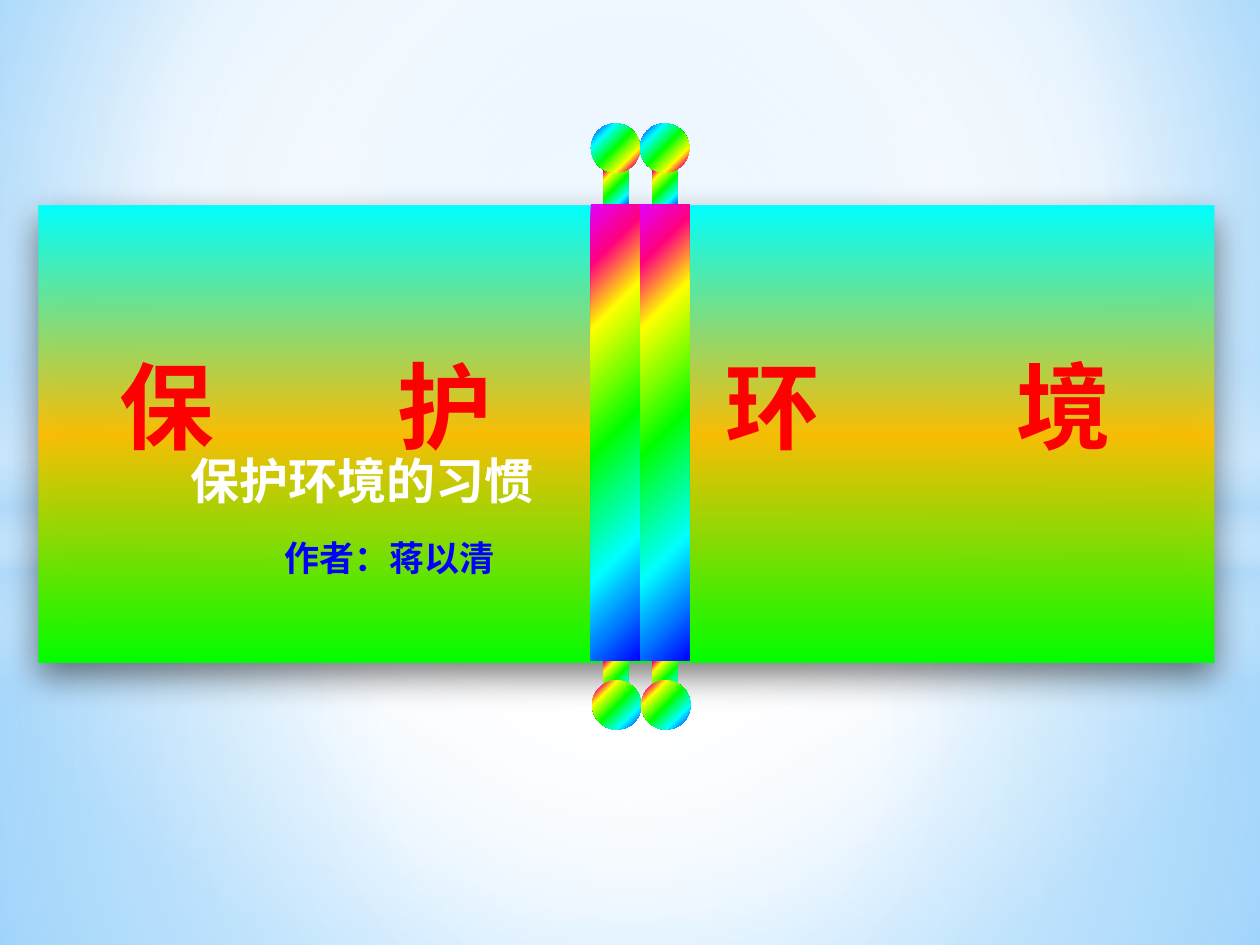
"""Build a title slide: a rainbow scroll opening over a soft blue sky."""
from lxml import etree
from pptx import Presentation
from pptx import util as u
from pptx.dml.color import RGBColor
from pptx.enum import shapes, text
from pptx.oxml import ns

THEME = {
    "title": {"size": 54, "font": "Noto Sans CJK JP", "color": "FF0000"},
    "subtitle": {"size": 28, "font": "Lato", "color": "FFFFFF"},
    "author": {"size": 20, "font": "Lato", "color": "0000FF"},
    "east_asian": "Noto Sans CJK JP",
    "rainbow": [(0, "0000FF"), (12, "0080FF"), (25, "00FFFF"), (38, "00FF80"), (50, "00FF00"),
                (62, "80FF00"), (75, "FFFF00"), (88, "FF0080"), (100, "E100FF")],
    "sky": [(0, "9ED5FF"), (60, "FFFFFF"), (100, "5BB9FF")],
    "paper": [(0, "00FFFF"), (50, "FFC000", 95), (100, "00FF00")],
}
WIDTH, HEIGHT = 10, 7.5
CENTER, CORNER = (50, 50, 50, 50), (100, 100, 0, 0)
RECT, OVAL, ROUND = (shapes.MSO_SHAPE.RECTANGLE, shapes.MSO_SHAPE.OVAL,
                     shapes.MSO_SHAPE.ROUNDED_RECTANGLE)
HORIZON = 4.23
GLOWS = [
    (RECT, (0, HORIZON, WIDTH, HEIGHT - HORIZON),
     [(0, "FFFFFF", 91), (37, "FFFFFF", 76), (100, "B4DCFA", 79)], {"focus": CENTER}),
    (RECT, (0, 0, WIDTH, HORIZON),
     [(0, "FFFFFF", 89), (48, "FFFFFF", 62), (100, "B4DCFA", 79)], {"focus": CENTER}),
    (RECT, (0, 2.9, WIDTH, 2.5),
     [(0, "FFFFFF", 0), (29, "FFFFFF", 30), (45, "B4DCFA", 40), (55, "FFFFFF", 26),
      (65, "B4DCFA", 60), (100, "FFFFFF", 0)], {"angle": 90}),
    (OVAL, (0, 1.75, WIDTH, 5.58), [(0, "FFFFFF"), (54, "FFFFFF", 0)], {"focus": CENTER}),
]
PAPER = (0.31, 1.63, 9.33, 3.63)
TITLE = [("保", 0.41, 1.83), ("护", 2.66, 1.74), ("环", 5.26, 1.75), ("境", 7.57, 1.75)]
TITLE_TOP, TITLE_HEIGHT = 2.89, 0.65
LINES = [
    ("保护环境的习惯", "subtitle", (0.76, 3.64, 4.23, 0.34), 0.465),
    ("作者：蒋以清", "author", (2.06, 4.22, 2.07, 0.41), 0.167),
]
ROLLER = 0.39
ROLLER_LEFTS = [4.69, 4.69 + ROLLER]
ROLLER_PARTS = [
    (RECT, 0.1, 1.29, ROLLER / 2, ROLLER, 180, {"focus": CORNER}),
    (RECT, 0.1, 5.19, ROLLER / 2, ROLLER, 180, {"focus": CORNER}),
    (RECT, 0, 1.62, ROLLER, 3.62, 0, {"focus": CORNER}),
    (OVAL, 0.01, 5.4, ROLLER, ROLLER, 180, {"angle": 45}),
    (OVAL, 0, 0.98, ROLLER, ROLLER, 0, {"angle": 45}),
]


def add(parent, tag, **attrs):
    el = etree.SubElement(parent, ns.qn(tag))
    for key, value in attrs.items():
        el.set(key, str(value))
    return el


def add_color(parent, color, opacity=100):
    el = add(parent, "a:srgbClr", val=color)
    if opacity < 100:
        add(el, "a:alpha", val=opacity * 1000)


def gradient(stops, angle=0, focus=None):
    grad = etree.Element(ns.qn("a:gradFill"), rotWithShape="1")
    stop_list = add(grad, "a:gsLst")
    for position, *color in stops:
        add_color(add(stop_list, "a:gs", pos=position * 1000), *color)
    if focus:
        edges = {side: share * 1000 for side, share in zip("ltrb", focus)}
        add(add(grad, "a:path", path="circle"), "a:fillToRect", **edges)
    else:
        add(grad, "a:lin", ang=angle * 60000, scaled=0)
    return grad


def add_shape(s, kind, box, stops=None, rotation=0, **direction):
    sp = s.shapes.add_shape(kind, *map(u.Inches, box))
    sp.rotation = rotation
    sp.shadow.inherit = False
    sp.line.fill.background()
    sp.fill.background()
    if stops:
        props = sp._element.spPr
        props.replace(props.find(ns.qn("a:noFill")), gradient(stops, **direction))
    return sp


def write(sp, words, role):
    style = THEME[role]
    tf = sp.text_frame
    tf.word_wrap = True
    tf.vertical_anchor = text.MSO_ANCHOR.MIDDLE
    p = tf.paragraphs[0]
    p.text, p.alignment = words, text.PP_ALIGN.CENTER
    p.font.size, p.font.bold = u.Pt(style["size"]), True
    p.font.color.rgb = RGBColor.from_string(style["color"])
    p.font.name = style["font"]
    add(p.font._element, "a:ea", typeface=THEME["east_asian"])


def paint_background(s):
    bg = etree.Element(ns.qn("p:bg"))
    props = add(bg, "p:bgPr")
    props.append(gradient(THEME["sky"], focus=(20, 10, 20, 60)))
    add(props, "a:effectLst")
    s._element.cSld.insert(0, bg)


def add_paper(s):
    sp = add_shape(s, RECT, PAPER, THEME["paper"], angle=90)
    effects = sp._element.spPr.find(ns.qn("a:effectLst"))
    shadow = add(effects, "a:outerShdw", blurRad=u.Pt(20), dist=u.Pt(8), dir=90 * 60000,
                 rotWithShape=0)
    add_color(shadow, "000000", 50)


def main():
    prs = Presentation()
    prs.slide_width, prs.slide_height = u.Inches(WIDTH), u.Inches(HEIGHT)
    s = prs.slides.add_slide(prs.slide_layouts[6])
    paint_background(s)
    for kind, box, stops, direction in GLOWS:
        add_shape(s, kind, box, stops, **direction)
    add_paper(s)
    for word, left, width in TITLE:
        box = (left, TITLE_TOP, width, TITLE_HEIGHT)
        write(s.shapes.add_textbox(*map(u.Inches, box)), word, "title")
    for words, role, box, rounding in LINES:
        sp = add_shape(s, ROUND, box)
        sp.adjustments[0] = rounding
        write(sp, words, role)
    for left in ROLLER_LEFTS:
        for kind, dx, top, width, height, rotation, direction in ROLLER_PARTS:
            add_shape(s, kind, (left + dx, top, width, height), THEME["rainbow"], rotation,
                      **direction)
    prs.save("out.pptx")


if __name__ == "__main__":
    main()
